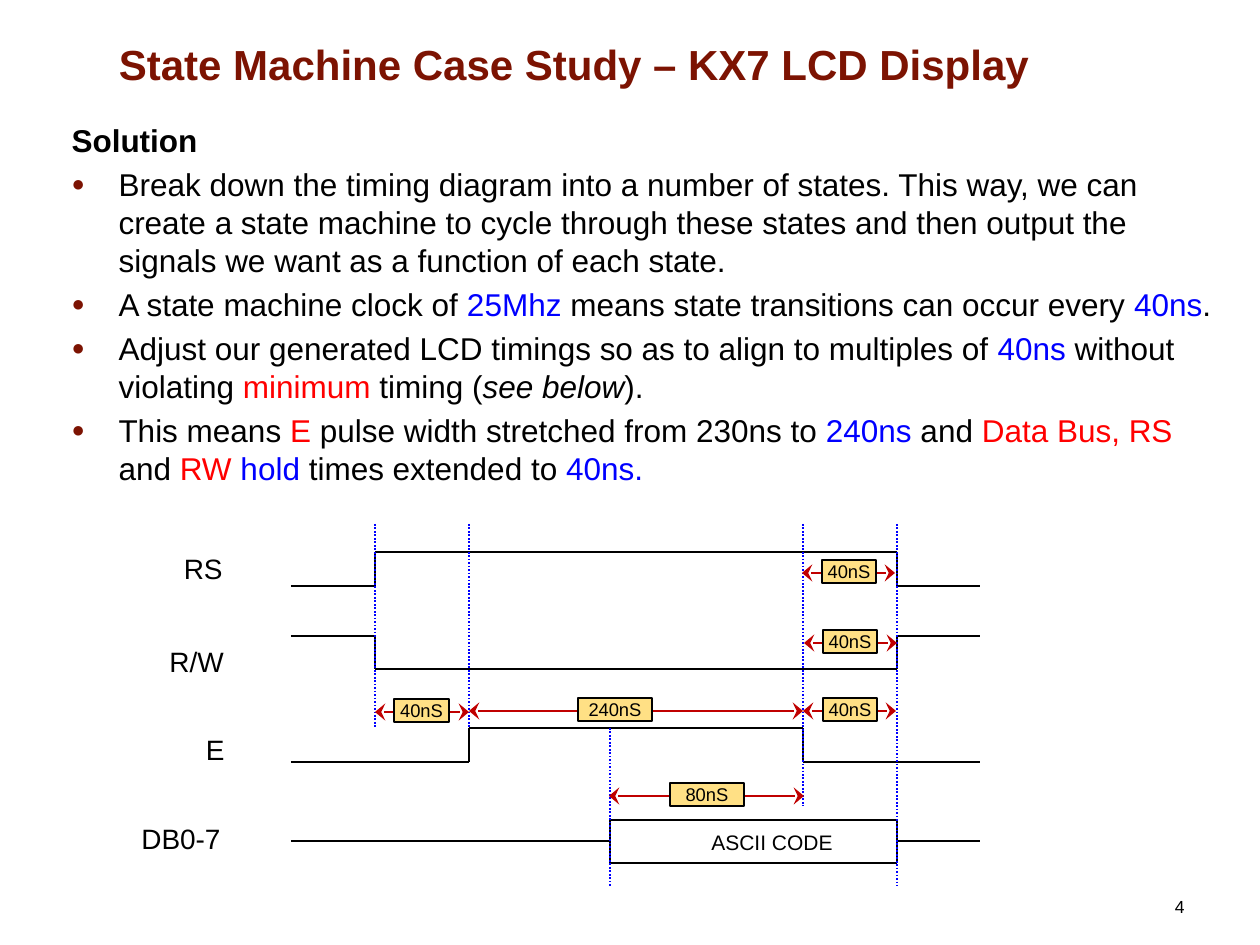
from itertools import pairwise

from lxml.etree import SubElement
from pptx import Presentation
from pptx.dml.color import RGBColor
from pptx.enum.dml import MSO_LINE
from pptx.enum.shapes import MSO_CONNECTOR, MSO_SHAPE
from pptx.enum.text import MSO_ANCHOR, MSO_AUTO_SIZE, PP_ALIGN
from pptx.oxml.ns import qn
from pptx.util import Pt

BLACK = RGBColor(0, 0, 0)
BLUE = RGBColor(0, 0, 255)
RED = RGBColor(255, 0, 0)
MAROON = RGBColor(0x7C, 0x13, 0x02)
ARROW_RED = RGBColor(0xC0, 0, 0)
TAG_YELLOW = RGBColor(0xFF, 0xE0, 0x85)

# Content: each bullet is a list of (text, colour)
TITLE = "State Machine Case Study – KX7 LCD Display"
HEADING = "Solution"
ITALIC_TEXT = "see below"
BULLETS = [
    [("Break down the timing diagram into a number of states. This way, we can "
      "create a state machine to cycle through these states and then output the "
      "signals we want as a function of each state.", BLACK)],
    [("A state machine clock of ", BLACK), ("25Mhz", BLUE),
     (" means state transitions can occur every ", BLACK), ("40ns", BLUE), (".", BLACK)],
    [("Adjust our generated LCD timings so as to align to multiples of ", BLACK),
     ("40ns", BLUE), (" without violating ", BLACK), ("minimum", RED),
     (" timing (", BLACK), (ITALIC_TEXT, BLACK), (").", BLACK)],
    [("This means ", BLACK), ("E", RED), (" pulse width stretched from 230ns to ", BLACK),
     ("240ns ", BLUE), ("and ", BLACK), ("Data Bus, RS ", RED), ("and", BLACK),
     (" RW ", RED), ("hold", BLUE), (" times extended to ", BLACK), ("40ns.", BLUE)],
]

# Timing diagram: edges shared by the signals, in pixels
START, SETUP, RISE, DATA, FALL, HOLD, END = 291, 375, 469, 610, 803, 897, 980
LABELS = [  # text, left, top, width
    ("RS", 163, 545, 72), ("R/W", 144, 638, 92),
    ("E", 165, 726, 72), ("DB0-7", 121, 815, 112),
]
WAVEFORMS = [
    [(START, 586), (SETUP, 586), (SETUP, 552), (HOLD, 552), (HOLD, 586), (END, 586)],
    [(START, 636), (SETUP, 636), (SETUP, 669), (HOLD, 669), (HOLD, 636), (END, 636)],
    [(START, 762), (RISE, 762), (RISE, 728), (FALL, 728), (FALL, 762), (END, 762)],
    [(START, 841), (DATA, 841)],
    [(DATA, 820), (HOLD, 820), (HOLD, 863), (DATA, 863), (DATA, 820)],
    [(HOLD, 841), (END, 841)],
]
GUIDES = [  # x, top, bottom
    (SETUP, 524, 728), (RISE, 524, 728), (FALL, 524, 806),
    (HOLD, 524, 886), (DATA, 728, 887),
]
INTERVALS = [  # text, from, to, y, tag left, tag width
    ("40nS", SETUP, RISE, 712, 394, 55),
    ("240nS", RISE, FALL, 711, 578, 74),
    ("80nS", DATA - 1, FALL + 1, 796, 670, 74),
    ("40nS", FALL + 1, HOLD, 643, 823, 54),
    ("40nS", FALL, HOLD - 1, 711, 823, 54),
    ("40nS", FALL - 1, HOLD - 2, 573, 822, 54),
]
TAG_HEIGHT = 23


def px(pixels):
    return round(pixels * 914400 / 126)


def place(shape, left, top, width, height):
    shape.left, shape.top, shape.width, shape.height = map(px, (left, top, width, height))


def style(para, size, color=BLACK, bold=False, align=PP_ALIGN.LEFT):
    para.alignment = align
    font = para.font
    font.name, font.size, font.bold = "Arial", Pt(size), bold
    font.color.rgb = color


def add_text(text, left, top, width, height, size, align):
    box = page.shapes.add_textbox(*map(px, (left, top, width, height)))
    box.text_frame.word_wrap = True
    para = box.text_frame.paragraphs[0]
    para.text = text
    style(para, size, align=align)


def add_line(start, end, color, dash=None, arrows=False):
    line = page.shapes.add_connector(
        MSO_CONNECTOR.STRAIGHT, *map(px, (*start, *end)))
    line.line.width = Pt(1)
    line.line.color.rgb = color
    if dash:
        line.line.dash_style = dash
    properties = line._element.spPr
    if arrows:
        outline = properties.find(qn("a:ln"))
        for end_name in ("a:headEnd", "a:tailEnd"):
            SubElement(outline, qn(end_name), type="stealth", w="lg", len="med")
    SubElement(properties, qn("a:effectLst"))


def set_indent(para, bullet):
    properties = para._p.get_or_add_pPr()
    indent = px(47) if bullet else 0
    properties.set("marL", str(indent))
    properties.set("indent", str(-indent))
    if not bullet:
        SubElement(properties, qn("a:buNone"))
        return
    color = SubElement(properties, qn("a:buClr"))
    SubElement(color, qn("a:srgbClr"), val=str(MAROON))
    SubElement(properties, qn("a:buSzPct"), val="70000")
    SubElement(properties, qn("a:buFont"), typeface="Arial")
    SubElement(properties, qn("a:buChar"), char=bullet)


deck = Presentation()
deck.slide_width, deck.slide_height = px(1260), px(945)
page = deck.slides.add_slide(deck.slide_layouts[1])

# Title
title = page.shapes.title
place(title, 54, 26, 1040, 69)
title.text_frame.text = TITLE
title.text_frame.vertical_anchor = MSO_ANCHOR.BOTTOM
title.text_frame.auto_size = MSO_AUTO_SIZE.NONE
style(title.text_frame.paragraphs[0], 24, MAROON, True, PP_ALIGN.CENTER)

# Solution text
body = page.placeholders[1]
place(body, 59, 115, 1172, 730)
frame = body.text_frame
frame.auto_size = MSO_AUTO_SIZE.NONE
frame.text = HEADING
for spans in BULLETS:
    para = frame.add_paragraph()
    for text, color in spans:
        span = para.add_run()
        span.text = text
        span.font.color.rgb = color
        if text == ITALIC_TEXT:
            span.font.italic = True
for para in frame.paragraphs:
    is_heading = para.text == HEADING
    style(para, 18, bold=is_heading)
    para.space_before = Pt(3.6)
    set_indent(para, None if is_heading else "●")

# Signal names, bus value and page number
for text, left, top, width in LABELS:
    add_text(text, left, top, width, 47, 16, PP_ALIGN.RIGHT)
add_text("ASCII CODE", 699, 823, 152, 38, 12, PP_ALIGN.LEFT)
add_text("4", 903, 890, 294, 35, 10, PP_ALIGN.RIGHT)

# Waveforms and guides
for points in WAVEFORMS:
    for start, end in pairwise(points):
        add_line(start, end, BLACK)
for x, top, bottom in GUIDES:
    add_line((x, top), (x, bottom), BLUE, dash=MSO_LINE.ROUND_DOT)

# Intervals with their duration tags
for text, start, end, y, left, width in INTERVALS:
    add_line((start, y), (end, y), ARROW_RED, arrows=True)
    tag = page.shapes.add_shape(
        MSO_SHAPE.RECTANGLE, *map(px, (left, y - 13, width, TAG_HEIGHT)))
    tag.shadow.inherit = False
    tag.fill.solid()
    tag.fill.fore_color.rgb = TAG_YELLOW
    tag.line.color.rgb = BLACK
    tag.line.width = Pt(0.75)
    frame = tag.text_frame
    frame.margin_left = frame.margin_right = frame.margin_top = frame.margin_bottom = 0
    frame.vertical_anchor = MSO_ANCHOR.MIDDLE
    frame.text = text
    style(frame.paragraphs[0], 10.5, align=PP_ALIGN.CENTER)

deck.save("out.pptx")
